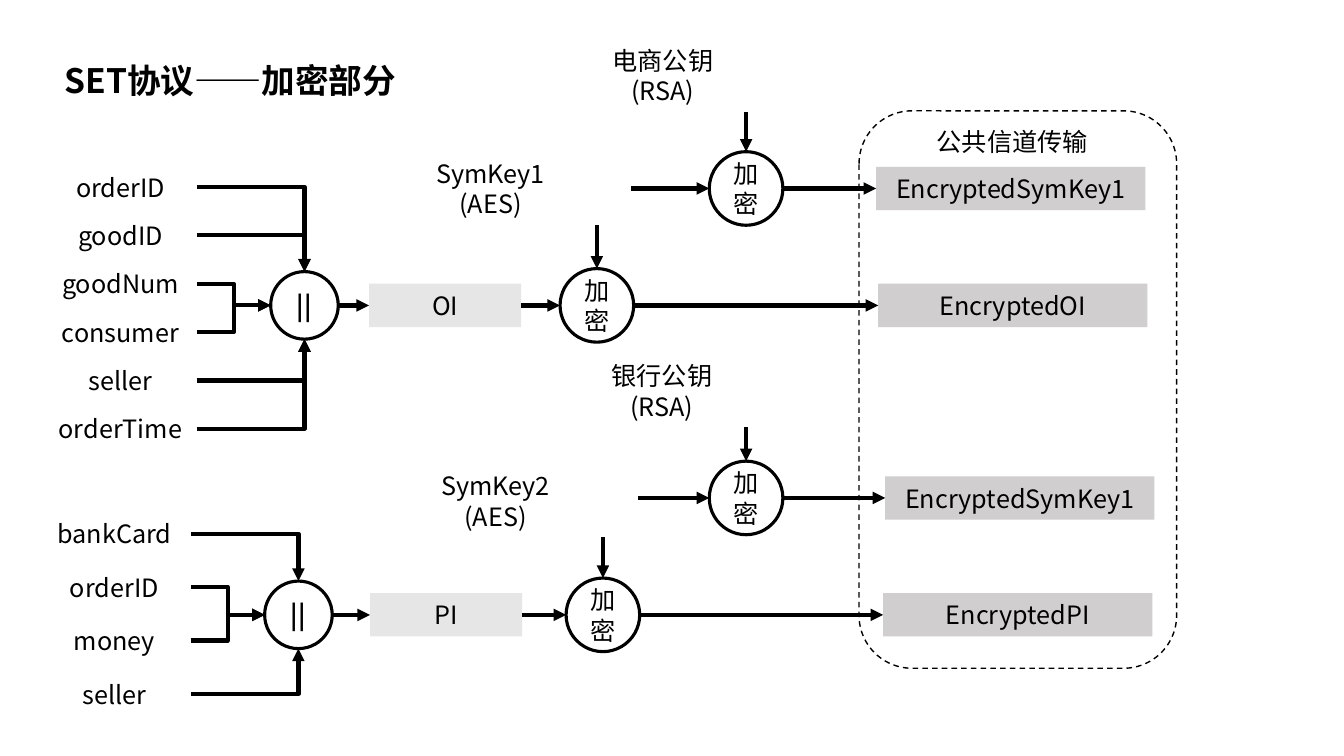
"""Builds the slide on the encryption part of the SET protocol."""
from dataclasses import dataclass
from typing import Optional

from lxml import etree
from pptx import Presentation
from pptx.dml.color import RGBColor
from pptx.enum.dml import MSO_LINE
from pptx.enum.shapes import MSO_CONNECTOR, MSO_SHAPE
from pptx.enum.text import MSO_ANCHOR, PP_ALIGN
from pptx.oxml.ns import qn
from pptx.shapes.autoshape import Shape
from pptx.shapes.shapetree import SlideShapes
from pptx.text.text import TextFrame
from pptx.util import Inches, Pt

RECTANGLE, OVAL, ROUNDED = MSO_SHAPE.RECTANGLE, MSO_SHAPE.OVAL, MSO_SHAPE.ROUNDED_RECTANGLE
STRAIGHT, ELBOW = MSO_CONNECTOR.STRAIGHT, MSO_CONNECTOR.ELBOW
DASH = MSO_LINE.DASH
LEFT, CENTER = PP_ALIGN.LEFT, PP_ALIGN.CENTER
TOP, MIDDLE = MSO_ANCHOR.TOP, MSO_ANCHOR.MIDDLE

BLACK = RGBColor(0x00, 0x00, 0x00)
WHITE = RGBColor(0xFF, 0xFF, 0xFF)
MESSAGE_GRAY = RGBColor(0xE7, 0xE6, 0xE6)
CIPHER_GRAY = RGBColor(0xD0, 0xCE, 0xCE)
FONT = "Noto Sans CJK SC"

LEFT_SIDE, RIGHT_SIDE = 1, 3
BOX_HEIGHT, FIELD_WIDTH, CIPHER_WIDTH = 0.43, 1.51, 2.67
JOIN_SIZE, CIRCLE_SIZE = 0.67, 0.73
KEY_CIRCLE_X = 7.4

Point = tuple[float, float]


@dataclass(frozen=True)
class Caption:
    """A centred caption with its top-left corner."""
    lines: tuple[str, ...]
    left: float
    top: float
    width: float = 1.43
    height: float = 0.71


@dataclass(frozen=True)
class Chain:
    """One message that is joined, encrypted and sent with its key."""
    fields: tuple[str, ...]
    field_left: float
    field_top: float
    field_pitch: float
    join_x: float
    message: str
    message_left: float
    message_y: float
    circle_x: float
    cipher: str
    cipher_left: float
    key_y: float
    key_arrow_left: float
    key_cipher_left: float
    sym_key: Caption
    public_key: Caption


CHAINS = (
    Chain(("orderID", "goodID", "goodNum", "consumer", "seller", "orderTime"),
          0.44, 1.64, 0.48, 3.02, "OI", 3.66, 3.03, 5.92, "EncryptedOI", 8.71,
          1.87, 6.26, 8.69, Caption(("SymKey1", "(AES)"), 4.15, 1.52),
          Caption(("电商公钥", "(RSA)"), 5.86, 0.4)),
    Chain(("bankCard", "orderID", "money", "seller"),
          0.38, 5.08, 0.53, 2.96, "PI", 3.67, 6.1, 5.98, "EncryptedPI", 8.76,
          4.94, 6.33, 8.78, Caption(("SymKey2", "(AES)"), 4.21, 4.62, 1.41),
          Caption(("银行公钥", "(RSA)"), 5.85, 3.53)),
)
CHANNEL = Caption(("公共信道传输",), 9, 1.2, 2.08, 0.4)


def write(frame: TextFrame, lines: tuple[str, ...], size: int = 18, bold: bool = False,
          align: PP_ALIGN = CENTER, anchor: MSO_ANCHOR = MIDDLE) -> None:
    """Write one run to each paragraph of a frame."""
    frame.word_wrap = True
    frame.vertical_anchor = anchor
    for index, line in enumerate(lines):
        paragraph = frame.paragraphs[0] if index == 0 else frame.add_paragraph()
        paragraph.alignment = align
        run = paragraph.add_run()
        run.text = line
        run.font.size, run.font.bold, run.font.name = Pt(size), bold, FONT
        run.font.color.rgb = BLACK
        etree.SubElement(run.font._element, qn("a:ea"), typeface=FONT)


def add_caption(shapes: SlideShapes, caption: Caption) -> None:
    """Add a caption as a text box."""
    box = shapes.add_textbox(Inches(caption.left), Inches(caption.top),
                             Inches(caption.width), Inches(caption.height))
    write(box.text_frame, caption.lines, anchor=TOP)


def add_box(shapes: SlideShapes, text: str, left: float, middle: float,
            width: float, fill: RGBColor) -> Shape:
    """Add a filled box without outline, centred on a row."""
    box = shapes.add_shape(RECTANGLE, Inches(left), Inches(middle - BOX_HEIGHT / 2),
                           Inches(width), Inches(BOX_HEIGHT))
    box.shadow.inherit = False
    box.fill.solid()
    box.fill.fore_color.rgb = fill
    box.line.fill.background()
    write(box.text_frame, (text,))
    return box


def add_circle(shapes: SlideShapes, text: str, x: float, y: float, size: float,
               bold: bool = False) -> None:
    """Add an outlined operation circle around a centre."""
    circle = shapes.add_shape(OVAL, Inches(x - size / 2), Inches(y - size / 2),
                              Inches(size), Inches(size))
    circle.shadow.inherit = False
    circle.fill.background()
    circle.line.color.rgb = BLACK
    circle.line.width = Pt(2.25)
    write(circle.text_frame, (text,), bold=bold)


def add_arrow(shapes: SlideShapes, start: Point, end: Point, source: Optional[Shape] = None,
              target: Optional[Shape] = None, preset: str = "line") -> None:
    """Add an arrow, joined to the source's right and the target's left side."""
    kind = STRAIGHT if preset == "line" else ELBOW
    arrow = shapes.add_connector(kind, *(Inches(value) for value in start + end))
    if source is not None:
        arrow.begin_connect(source, RIGHT_SIDE)
    if target is not None:
        arrow.end_connect(target, LEFT_SIDE)
    arrow.line.color.rgb = BLACK
    arrow.line.width = Pt(3)
    properties = arrow._element.spPr
    properties.find(qn("a:prstGeom")).set("prst", preset)
    etree.SubElement(properties.find(qn("a:ln")), qn("a:tailEnd"), type="triangle")
    etree.SubElement(properties, qn("a:effectLst"))


def add_fields(shapes: SlideShapes, chain: Chain) -> None:
    """Add the fields: the middle two enter the join's side, others its top or bottom."""
    radius = JOIN_SIZE / 2
    side = len(chain.fields) // 2 - 1
    for index, field in enumerate(chain.fields):
        y = chain.field_top + BOX_HEIGHT / 2 + index * chain.field_pitch
        box = add_box(shapes, field, chain.field_left, y, FIELD_WIDTH, WHITE)
        if index < side:
            end, preset = (chain.join_x, chain.message_y - radius), "bentConnector2"
        elif index <= side + 1:
            end, preset = (chain.join_x - radius, chain.message_y), "bentConnector3"
        else:
            end, preset = (chain.join_x, chain.message_y + radius), "bentConnector2"
        add_arrow(shapes, (chain.field_left + FIELD_WIDTH, y), end, box, preset=preset)
    add_circle(shapes, "||", chain.join_x, chain.message_y, JOIN_SIZE, bold=True)


def add_chain(shapes: SlideShapes, chain: Chain) -> None:
    """Add a whole chain from fields to ciphertexts."""
    add_fields(shapes, chain)
    y, key_y, radius = chain.message_y, chain.key_y, CIRCLE_SIZE / 2
    message = add_box(shapes, chain.message, chain.message_left, y, FIELD_WIDTH, MESSAGE_GRAY)
    cipher = add_box(shapes, chain.cipher, chain.cipher_left, y, CIPHER_WIDTH, CIPHER_GRAY)
    key_cipher = add_box(shapes, "EncryptedSymKey1", chain.key_cipher_left, key_y,
                         CIPHER_WIDTH, CIPHER_GRAY)
    for x, row in ((chain.circle_x, y), (KEY_CIRCLE_X, key_y)):
        add_circle(shapes, "加密", x, row, CIRCLE_SIZE)
    for x, row, caption in ((chain.circle_x, y, chain.sym_key),
                            (KEY_CIRCLE_X, key_y, chain.public_key)):
        add_caption(shapes, caption)
        add_arrow(shapes, (x, caption.top + caption.height), (x, row - radius))
    add_arrow(shapes, (chain.join_x + JOIN_SIZE / 2, y), (chain.message_left, y), target=message)
    add_arrow(shapes, (chain.message_left + FIELD_WIDTH, y), (chain.circle_x - radius, y), message)
    add_arrow(shapes, (chain.circle_x + radius, y), (chain.cipher_left, y), target=cipher)
    add_arrow(shapes, (chain.key_arrow_left, key_y), (KEY_CIRCLE_X - radius, key_y))
    add_arrow(shapes, (KEY_CIRCLE_X + radius, key_y), (chain.key_cipher_left, key_y),
              target=key_cipher)


def main() -> None:
    """Build and save the slide."""
    deck = Presentation()
    deck.slide_width, deck.slide_height = Inches(13.33), Inches(7.5)
    slide = deck.slides.add_slide(deck.slide_layouts[5])
    title = slide.shapes.title
    title.left, title.top, title.width, title.height = (
        Inches(value) for value in (0.54, 0.54, 3.64, 0.5))
    write(title.text_frame, ("SET协议——加密部分",), 24, True, LEFT)
    for chain in CHAINS:
        add_chain(slide.shapes, chain)
    channel = slide.shapes.add_shape(ROUNDED, Inches(8.52), Inches(1.1), Inches(3.15), Inches(5.53))
    channel.shadow.inherit = False
    channel.fill.background()
    channel.line.color.rgb = BLACK
    channel.line.width = Pt(1)
    channel.line.dash_style = DASH
    add_caption(slide.shapes, CHANNEL)
    deck.save("out.pptx")


if __name__ == "__main__":
    main()
